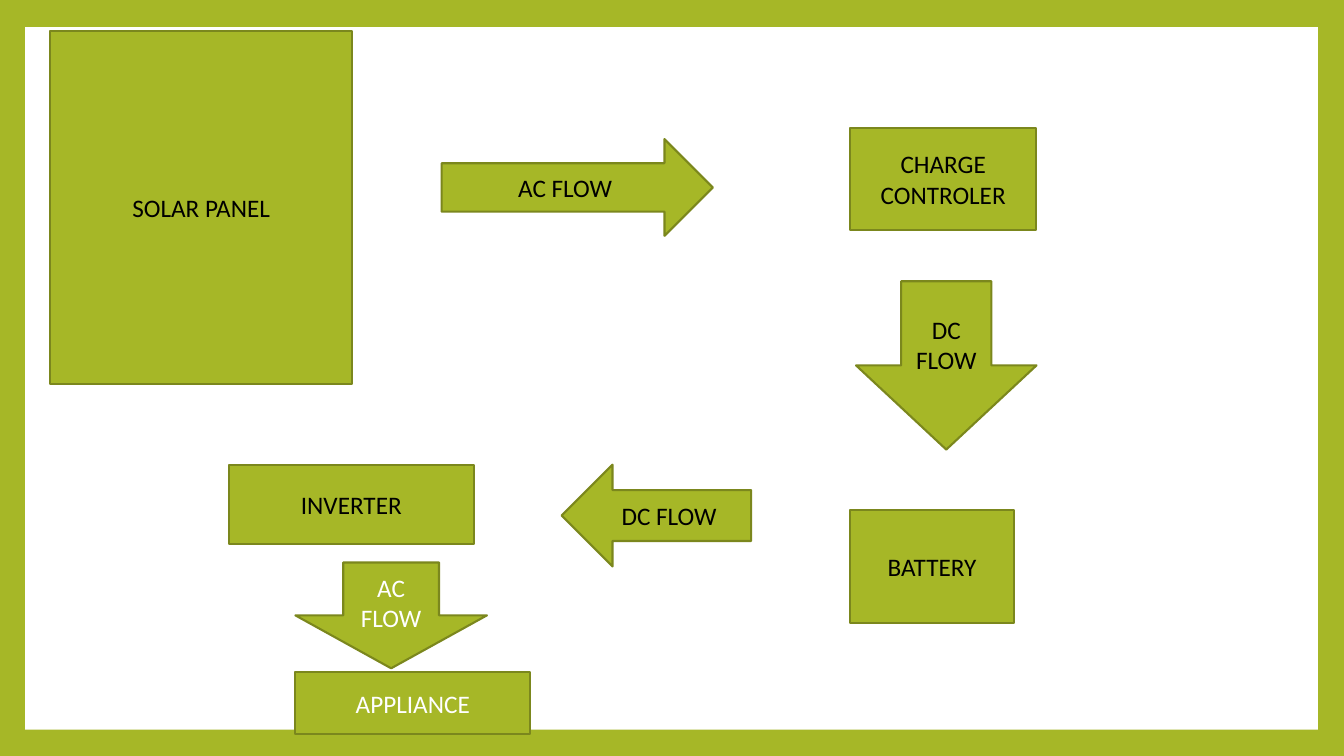
from pptx import Presentation
from pptx.dml.color import RGBColor
from pptx.enum.shapes import MSO_SHAPE
from pptx.enum.text import MSO_ANCHOR, PP_ALIGN
from pptx.util import Inches, Pt

RECTANGLE = MSO_SHAPE.RECTANGLE
RIGHT_ARROW = MSO_SHAPE.RIGHT_ARROW
DOWN_ARROW = MSO_SHAPE.DOWN_ARROW
LEFT_ARROW = MSO_SHAPE.LEFT_ARROW
MIDDLE = MSO_ANCHOR.MIDDLE
CENTER = PP_ALIGN.CENTER

GREEN = "A6B727"
OLIVE = "7B871D"
BLACK = "000000"
WHITE = "FFFFFF"
FONT = "Calibri"

FLOW_STEPS = [
    (RECTANGLE, (0.5, 0.31, 2.99, 3.5), "SOLAR PANEL", BLACK),
    (RIGHT_ARROW, (4.38, 1.38, 2.69, 0.96), "AC FLOW", BLACK),
    (RECTANGLE, (8.43, 1.27, 1.85, 1.01), "CHARGE CONTROLER", BLACK),
    (DOWN_ARROW, (8.49, 2.79, 1.79, 1.67), "DC FLOW", BLACK),
    (RECTANGLE, (8.43, 5.06, 1.63, 1.12), "BATTERY", BLACK),
    (LEFT_ARROW, (5.57, 4.61, 1.88, 1.01), "DC FLOW", BLACK),
    (RECTANGLE, (2.27, 4.61, 2.43, 0.79), "INVERTER", BLACK),
    (DOWN_ARROW, (2.93, 5.58, 1.9, 1.05), "AC FLOW", WHITE),
    (RECTANGLE, (2.93, 6.67, 2.33, 0.61), "APPLIANCE", WHITE),
]


def color(hex_string):
    return RGBColor.from_string(hex_string)


def add_filled_shape(slide, kind, box, fill):
    shape = slide.shapes.add_shape(kind, *(Inches(length) for length in box))
    shape.shadow.inherit = False
    shape.fill.solid()
    shape.fill.fore_color.rgb = color(fill)
    return shape


def add_frame(slide, box):
    background = slide.background.fill
    background.solid()
    background.fore_color.rgb = color(GREEN)
    panel = add_filled_shape(slide, RECTANGLE, box, WHITE)
    panel.line.fill.background()


def add_flow_step(slide, kind, box, label, text_color):
    shape = add_filled_shape(slide, kind, box, GREEN)
    shape.line.color.rgb = color(OLIVE)
    shape.line.width = Pt(1.5)
    text_frame = shape.text_frame
    text_frame.word_wrap = True
    text_frame.vertical_anchor = MIDDLE
    text_frame.text = label
    paragraph = text_frame.paragraphs[0]
    paragraph.alignment = CENTER
    font = paragraph.runs[0].font
    font.name = FONT
    font.size = Pt(18)
    font.color.rgb = color(text_color)


def main():
    presentation = Presentation()
    presentation.slide_width = Inches(13.33)
    presentation.slide_height = Inches(7.5)
    slide = presentation.slides.add_slide(presentation.slide_layouts[6])
    add_frame(slide, (0.25, 0.27, 12.82, 6.97))
    for kind, box, label, text_color in FLOW_STEPS:
        add_flow_step(slide, kind, box, label, text_color)
    presentation.save("out.pptx")


if __name__ == "__main__":
    main()
